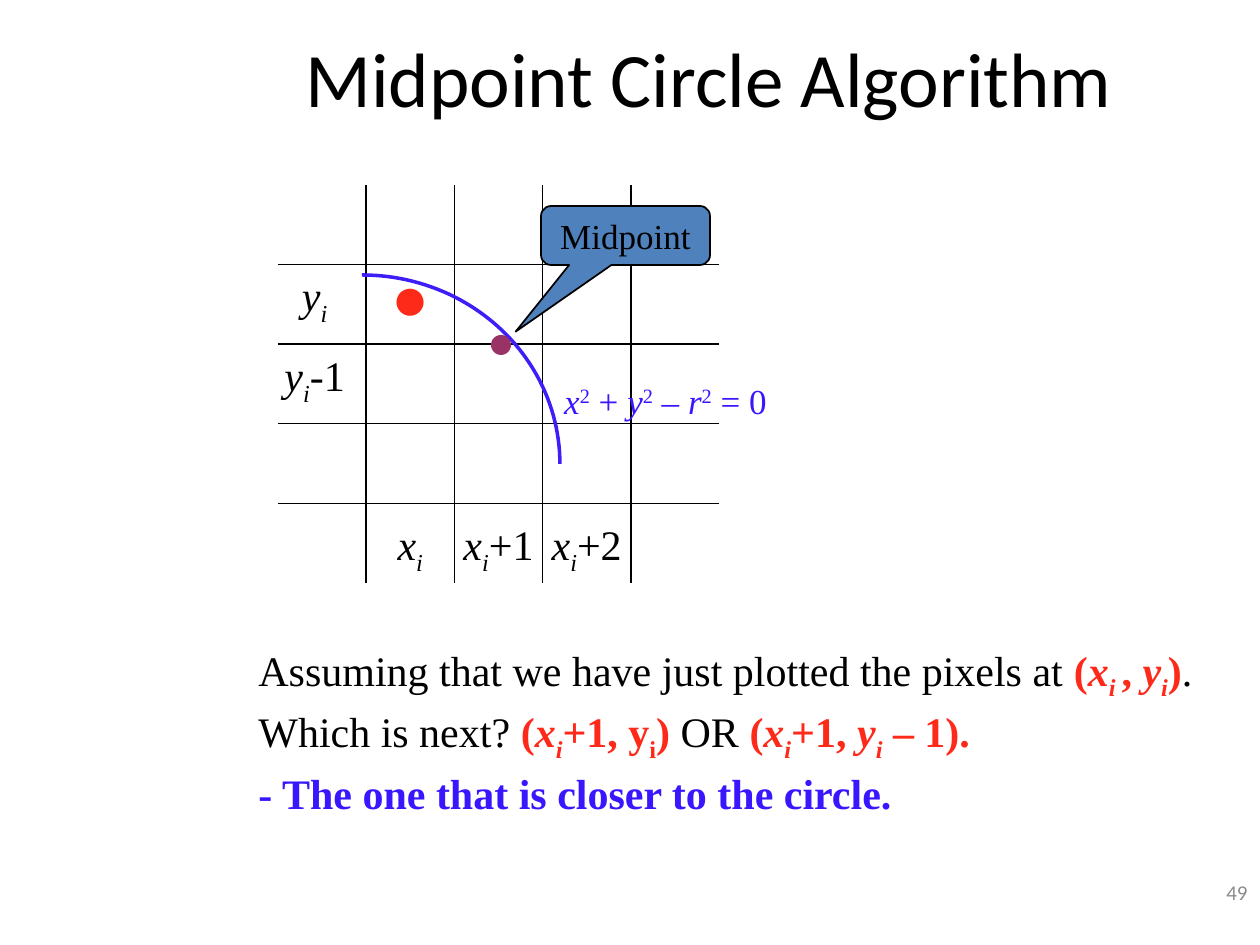
from math import cos, pi, sin

from lxml.etree import SubElement
from pptx import Presentation
from pptx.dml.color import RGBColor
from pptx.enum.shapes import MSO_SHAPE as Shape
from pptx.enum.text import MSO_ANCHOR as Anchor, MSO_AUTO_SIZE as AutoSize, PP_ALIGN as Align
from pptx.oxml.ns import qn
from pptx.util import Pt

SCALE = 914400 / 126
SERIF, SANS = "Times New Roman", "Calibri"
COLORS = {
    "black": "000000", "red": "FD2919", "blue": "3817FF", "arc": "3D1EF8",
    "midpoint": "993366", "callout": "4F81BD", "number": "8C8C8C",
}
GRID = 5

FORMULA = [("x", "i"), ("2", "^"), (" + ", ""), ("y", "i"), ("2", "^"),
           (" – ", ""), ("r", "i"), ("2", "^"), (" = 0", "")]
QUESTION = [
    [("Assuming that we have just plotted the pixels at ", ""), ("(", "rb"), ("x", "rbi"),
     ("i ", "rbi_"), (", ", "rb"), ("y", "rbi"), ("i", "rbi_"), (")", "rb"), (".", "")],
    [("Which is next? ", ""), ("(", "rb"), ("x", "rbi"), ("i", "rbi_"), ("+1, y", "rb"),
     ("i", "rb_"), (")", "rb"), (" OR ", ""), ("(", "rb"), ("x", "rbi"), ("i", "rbi_"),
     ("+1, ", "rb"), ("y", "rbi"), ("i", "rbi_"), (" – 1).", "rb")],
    [("- The one that is closer to the circle.", "ub")],
]


def px(value):
    return round(value * SCALE)


def rgb(name):
    return RGBColor.from_string(COLORS[name])


def write(frame, paragraphs, size=24, color="black", font=SERIF, align=Align.CENTER, gap=0):
    """Fill a frame with (text, flags) runs.

    Flags: b bold, i italic, _ subscript, ^ superscript, r red, u blue.
    """
    for index, runs in enumerate(paragraphs):
        paragraph = frame.add_paragraph() if index else frame.paragraphs[0]
        paragraph.alignment = align
        if index and gap:
            paragraph.space_before = Pt(gap)
        for text, flags in runs:
            run = paragraph.add_run()
            run.text = text
            run.font.name, run.font.size = font, Pt(size)
            run.font.bold, run.font.italic = "b" in flags, "i" in flags
            tint = "red" if "r" in flags else "blue" if "u" in flags else color
            run.font.color.rgb = rgb(tint)
            if "_" in flags or "^" in flags:
                run.font._element.set("baseline", "-25000" if "_" in flags else "30000")


def add_text(slide, box, paragraphs, wrap=True, anchor=Anchor.MIDDLE, **style):
    frame = slide.shapes.add_textbox(*map(px, box)).text_frame
    frame.word_wrap = wrap
    frame.vertical_anchor = anchor
    if not wrap:
        frame.auto_size = AutoSize.SHAPE_TO_FIT_TEXT
    write(frame, paragraphs, **style)


def add_filled(slide, kind, box, fill, outline=None):
    shape = slide.shapes.add_shape(kind, *map(px, box))
    shape.shadow.inherit = False
    shape.fill.solid()
    shape.fill.fore_color.rgb = rgb(fill)
    if outline:
        shape.line.color.rgb = rgb(outline)
        shape.line.width = Pt(1)
    else:
        shape.line.fill.background()
    return shape


def set_borders(cell, row, col):
    """Rule the inner edges of the grid and leave its outer edges open."""
    inner = {"a:lnL": col > 0, "a:lnR": col < GRID - 1,
             "a:lnT": row > 0, "a:lnB": row < GRID - 1}
    properties = cell._tc.get_or_add_tcPr()
    for tag, ruled in inner.items():
        line = SubElement(properties, qn(tag), w=str(Pt(1)))
        if ruled:
            fill = SubElement(line, qn("a:solidFill"))
            SubElement(fill, qn("a:srgbClr"), val=COLORS["black"])
        else:
            SubElement(line, qn("a:noFill"))


def add_pixel_grid(slide):
    table = slide.shapes.add_table(GRID, GRID, px(278), px(185), px(441), px(398)).table
    table.first_row = table.horz_banding = False
    for row in range(GRID):
        for col in range(GRID):
            cell = table.cell(row, col)
            set_borders(cell, row, col)
            cell.fill.background()

    def label(row, col, runs, top=0, right=0, size=24, color="black"):
        cell = table.cell(row, col)
        cell.margin_left = cell.margin_bottom = 0
        cell.margin_top, cell.margin_right = px(top), px(right)
        write(cell.text_frame, [runs], size=size, color=color)

    for row, offset in enumerate(["", "-1"], start=1):
        runs = [("y", "i"), ("i", "i_"), (offset, "")]
        label(row, 0, runs[:3 if offset else 2], top=10, right=15)
    for col, offset in enumerate(["", "+1", "+2"], start=1):
        runs = [("x", "i"), ("i", "i_"), (offset, "")]
        label(GRID - 1, col, runs[:3 if offset else 2], top=20)
    label(1, 1, [("●", "")], size=36, color="red")


def add_quarter_circle(slide, center, radii, steps=48):
    angles = [pi / 2 * step / steps for step in range(steps + 1)]
    points = [(px(center[0] + radii[0] * sin(a)), px(center[1] - radii[1] * cos(a)))
              for a in angles]
    builder = slide.shapes.build_freeform(*points[0])
    builder.add_line_segments(points[1:], close=False)
    arc = builder.convert_to_shape()
    arc.shadow.inherit = False
    arc.fill.background()
    arc.line.color.rgb = rgb("arc")
    arc.line.width = Pt(2)


def add_callout(slide):
    callout = add_filled(slide, Shape.ROUNDED_RECTANGULAR_CALLOUT, (541, 206, 169, 59),
                         "callout", "black")
    for index, value in enumerate((-0.65, 1.63, 0.17)):
        callout.adjustments[index] = value
    callout.text_frame.vertical_anchor = Anchor.MIDDLE
    write(callout.text_frame, [[("Midpoint", "")]], size=20)


def main():
    deck = Presentation()
    deck.slide_width, deck.slide_height = px(1260), px(945)
    slide = deck.slides.add_slide(deck.slide_layouts[6])

    add_text(slide, (189, 16, 1040, 121), [[("Midpoint Circle Algorithm", "")]],
             size=44, font=SANS)
    add_pixel_grid(slide)
    add_text(slide, (998, 861, 262, 63), [[("49", "")]],
             size=12, color="number", font=SANS, align=Align.RIGHT)
    add_quarter_circle(slide, center=(362, 464), radii=(198, 189))
    add_filled(slide, Shape.OVAL, (491, 335, 20, 20), "midpoint")
    add_callout(slide)
    add_text(slide, (550, 373, 231, 54), [FORMULA], wrap=False, anchor=Anchor.TOP,
             size=20, color="blue")
    add_text(slide, (246, 638, 961, 174), QUESTION, wrap=False, anchor=Anchor.TOP,
             align=Align.LEFT, gap=2.4)
    deck.save("out.pptx")


if __name__ == "__main__":
    main()
